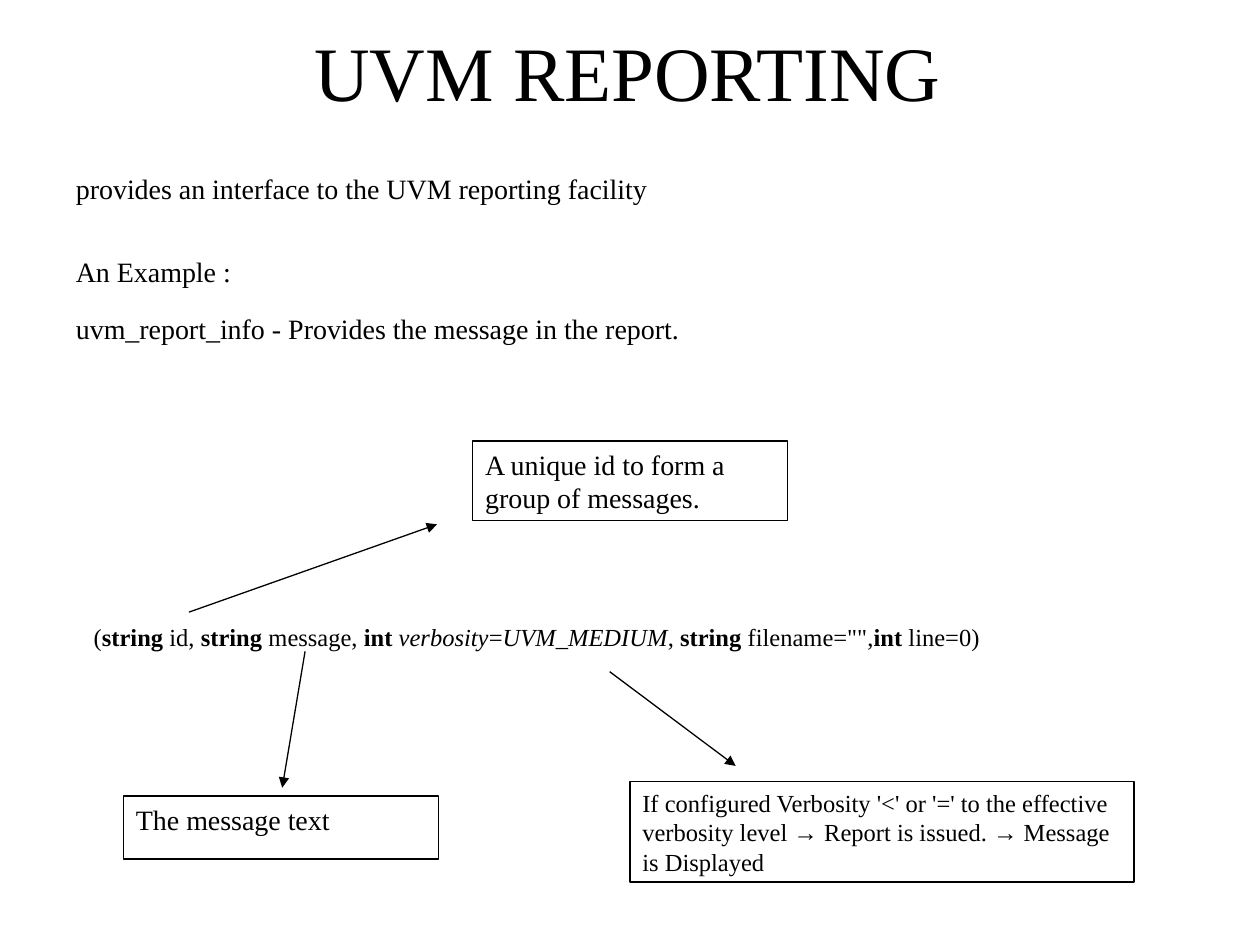
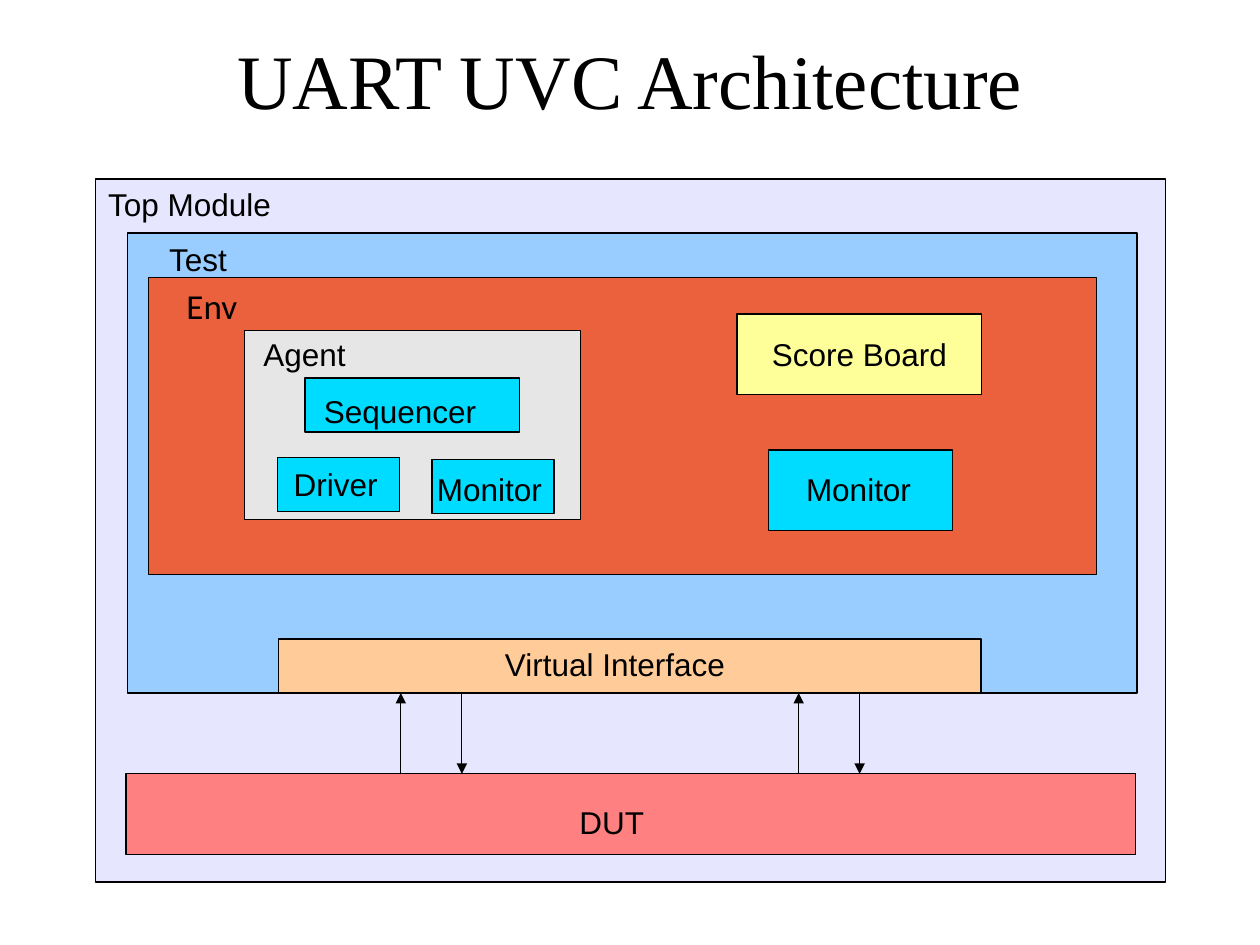
from lxml import etree
from pptx import Presentation
from pptx import util as u
from pptx.dml.color import RGBColor
from pptx.enum import shapes, text
from pptx.oxml import ns

COLORS = {
    "ink": "000000", "paper": "FFFFFF", "top": "E6E6FF", "test": "99CCFF",
    "interface": "FFCC99", "dut": "FF8080", "env": "EB613D",
    "agent": "E6E6E6", "component": "00DCFF", "scoreboard": "FFFF99",
}
SERIF, SANS, ENV_FONT = "Times New Roman", "Arial", "Calibri"
LINE_WIDTH = u.Pt(0.75)
INSETS = (0.25, 0.13, 0.25, 0.13)


def color(name):
    return RGBColor.from_string(COLORS[name])


def lengths(box):
    return [u.Cm(value) for value in box]


def within(box, left, top, width, height):
    """Turn a place relative to box into a place on the slide."""
    return box[0] + left, box[1] + top, width, height


def set_frame(frame, insets=INSETS, anchor=text.MSO_ANCHOR.TOP):
    frame.word_wrap = True
    frame.auto_size = text.MSO_AUTO_SIZE.NONE
    frame.vertical_anchor = anchor
    (frame.margin_left, frame.margin_top,
     frame.margin_right, frame.margin_bottom) = lengths(insets)


def format_para(para, size, font, align=text.PP_ALIGN.LEFT):
    para.alignment = align
    for span in para.runs:
        span.font.size = u.Pt(size)
        span.font.name = font
        span.font.color.rgb = color("ink")


def add_title(page, words, box):
    title = page.shapes.title
    title.left, title.top, title.width, title.height = lengths(box)
    title.text_frame.text = words
    set_frame(title.text_frame, anchor=text.MSO_ANCHOR.MIDDLE)
    format_para(title.text_frame.paragraphs[0], 44, SERIF, text.PP_ALIGN.CENTER)


def add_block(page, box, fill, words, size=18, font=SANS, insets=INSETS,
              anchor=text.MSO_ANCHOR.TOP, align=text.PP_ALIGN.LEFT):
    block = page.shapes.add_shape(shapes.MSO_SHAPE.RECTANGLE, *lengths(box))
    block.shadow.inherit = False
    block.fill.solid()
    block.fill.fore_color.rgb = color(fill)
    block.line.color.rgb = color("ink")
    block.line.width = LINE_WIDTH
    block.text_frame.text = words
    set_frame(block.text_frame, insets, anchor)
    format_para(block.text_frame.paragraphs[0], size, font, align)


def add_arrow(page, box, start, end):
    points = [box[0] + start[0], box[1] + start[1], box[0] + end[0], box[1] + end[1]]
    arrow = page.shapes.add_connector(
        shapes.MSO_CONNECTOR.STRAIGHT, *lengths(points))
    arrow.line.color.rgb = color("ink")
    arrow.line.width = LINE_WIDTH
    etree.SubElement(arrow.line._get_or_add_ln(), ns.qn("a:tailEnd"), type="triangle")
    etree.SubElement(arrow._element.spPr, ns.qn("a:effectLst"))


def add_introduction(page, box):
    frame = page.shapes.add_textbox(*lengths(box)).text_frame
    set_frame(frame)
    lines = [
        ("provides an interface to the UVM reporting facility", 0),
        ("An Example :", 28),
        ("uvm_report_info - Provides the message in the report.", 13.6),
    ]
    frame.text = "\n".join(words for words, _ in lines)
    for para, (_, gap) in zip(frame.paragraphs, lines):
        para.space_before = u.Pt(gap)
        format_para(para, 16, SERIF)


def add_signature(page, box):
    frame = page.shapes.add_textbox(*lengths(box)).text_frame
    set_frame(frame)
    para = frame.paragraphs[0]
    pieces = [
        ("(", ""), ("string", "b"), (" id, ", ""), ("string", "b"),
        (" message, ", ""), ("int ", "b"), ("verbosity", "i"), ("=", ""),
        ("UVM_MEDIUM", "i"), (", ", ""), ("string", "b"),
        (' filename="",', ""), ("int", "b"), (" line=0)", ""),
    ]
    for words, style in pieces:
        span = para.add_run()
        span.text = words
        span.font.bold = style == "b"
        span.font.italic = style == "i"
    format_para(para, 14, SERIF)


def add_argument_diagram(page, box):
    """Place the signature with a note and an arrow for each argument."""
    add_signature(page, within(box, 0, 3.51, 20.5, 0.9))
    notes = [
        ((7.89, 0, 6.35, 1.6), "A unique id to form a group of messages.", 16),
        ((0.85, 7.16, 6.35, 1.27), "The message text", 16),
        ((11.06, 6.86, 10.16, 2.03),
         "If configured Verbosity '<' or '=' to the effective verbosity level "
         "→ Report is issued. → Message is Displayed", 14),
    ]
    for place, words, size in notes:
        add_block(page, within(box, *place), "paper", words, size, SERIF)
    for start, end in [((2.17, 3.45), (7.17, 1.68)),
                       ((4.51, 4.24), (4.05, 6.99)),
                       ((10.65, 4.65), (13.19, 6.55))]:
        add_arrow(page, box, start, end)


def add_architecture(page, box):
    """Place the nested blocks, outermost first, and the signal arrows."""
    wide, low, tall = 20.35, 1.09, 1.63
    interface_bottom, dut_top = 10.36, 11.99
    blocks = [  # label, fill, place, left and top inset of the label
        ("Top Module", "top", (0, 0, *box[2:]), (0.25, 0.13)),
        ("Test", "test", (0.64, 1.09, wide, 9.27), (0.84, 0.13)),
        ("Virtual Interface", "interface",
         (3.68, interface_bottom - low, 14.17, low), (4.57, 0.13)),
        ("DUT", "dut", (0.61, dut_top, wide, tall), (9.14, 0.58)),
        ("Env", "env", (1.07, 1.98, 19.1, 5.99), (0.76, 0.15)),
        ("Agent", "agent", (3, 3.05, 6.78, 3.81), (0.38, 0.1)),
        ("Sequencer", "component", (4.22, 4.01, 4.32, low), (0.38, 0.28)),
        ("Driver", "component", (3.66, 5.61, 2.46, low), (0.33, 0.15)),
        ("Monitor", "component", (6.78, 5.66, 2.46, low), (0.1, 0.2)),
        ("Monitor", "component", (13.56, 5.46, 3.71, tall), (0.76, 0.41)),
    ]
    for words, fill, place, inset in blocks:
        size, font = (20, ENV_FONT) if words == "Env" else (18, SANS)
        add_block(page, within(box, *place), fill, words, size, font, (*inset, 0, 0))
    add_block(page, within(box, 12.93, 2.72, 4.93, tall), "scoreboard",
              "Score Board", anchor=text.MSO_ANCHOR.MIDDLE,
              align=text.PP_ALIGN.CENTER)
    for left in (6.15, 14.17):
        right = left + 1.23
        add_arrow(page, box, (left, dut_top), (left, interface_bottom))
        add_arrow(page, box, (right, interface_bottom), (right, dut_top))


def add_page(deck):
    return deck.slides.add_slide(deck.slide_layouts[5])


def add_reporting_page(deck):
    page = add_page(deck)
    add_title(page, "UVM REPORTING", (1.24, 0, 22.83, 2.85))
    add_introduction(page, (1.28, 3.33, 22.8, 4.2))
    add_argument_diagram(page, (1.64, 8.89))


def add_architecture_page(deck):
    page = add_page(deck)
    add_title(page, "UART UVC Architecture", (1.27, 0, 22.86, 3.18))
    add_architecture(page, (1.93, 3.61, 21.56, 14.17))


def main():
    deck = Presentation()
    deck.slide_width, deck.slide_height = u.Cm(25.4), u.Cm(19.05)
    add_reporting_page(deck)
    add_architecture_page(deck)
    deck.save("out.pptx")


if __name__ == "__main__":
    main()
